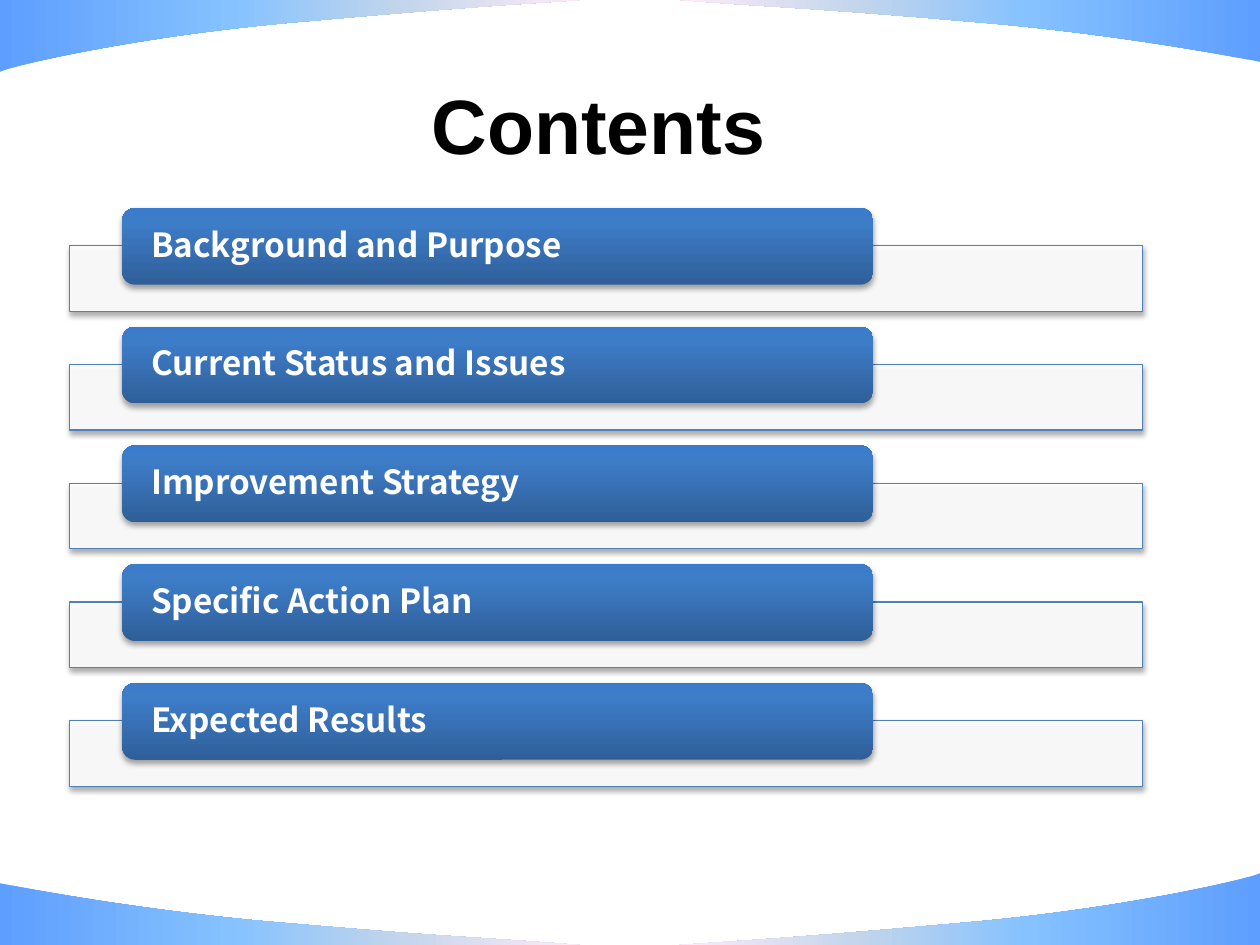
from dataclasses import dataclass

import pptx
import pptx.dml.color
import pptx.enum.shapes
import pptx.enum.text
import pptx.oxml
import pptx.oxml.ns
import pptx.util

Inches = pptx.util.Inches
qn = pptx.oxml.ns.qn
SHAPES = pptx.enum.shapes.MSO_SHAPE
ALIGN = pptx.enum.text.PP_ALIGN
WIDTH, HEIGHT = 10, 7.5


@dataclass(frozen=True)
class Theme:
    white: str = "FFFFFF"
    black: str = "000000"
    outline: str = "4F81BD"
    sky: tuple = ((0, "5E9EFF"), (40, "85C2FF"), (70, "C4D6EB"), (100, "FFEBFA"))
    banner: tuple = ((0, "2F5F99"), (80, "3D7CC7"), (100, "3A7CCB"))
    title_font: str = "Arial"
    item_font: str = "Noto Sans CJK KR"
    title_size: int = 44
    item_size: int = 19


@dataclass(frozen=True)
class Corner:
    """A curved corner; curve points are distances from the slide corner."""
    right: bool
    bottom: bool
    curve: tuple


THEME = Theme()
SHALLOW = ((4.6, 0), (3.84, 0.06), (3.58, 0.06), (2.32, 0.17),
           (1.06, 0.27), (0.01, 0.49), (0, 0.49))
DEEP = ((4.61, 0), (3.86, 0.05), (3.54, 0.07), (2.31, 0.18),
        (1.08, 0.29), (0.1, 0.52), (0, 0.57))
CORNERS = (
    Corner(True, False, SHALLOW),
    Corner(False, True, SHALLOW),
    Corner(True, True, DEEP),
    Corner(False, False, DEEP),
)
ITEMS = ("Background and Purpose", "Current Status and Issues",
         "Improvement Strategy", "Specific Action Plan", "Expected Results")
FIRST_TOP, LAST_TOP = 1.65, 5.42
BAR_DROP = 0.3


def color(value: str) -> pptx.dml.color.RGBColor:
    return pptx.dml.color.RGBColor.from_string(value)


def drawing_xml(body: str):
    namespace = pptx.oxml.ns.nsdecls("a")
    return pptx.oxml.parse_xml(body.replace(">", f" {namespace}>", 1))


def set_gradient(shape, stops: tuple, angle: int) -> None:
    marks = "".join(f'<a:gs pos="{place * 1000}"><a:srgbClr val="{value}"/></a:gs>'
                    for place, value in stops)
    gradient = drawing_xml(f'<a:gradFill rotWithShape="1"><a:gsLst>{marks}</a:gsLst>'
                           f'<a:lin ang="{angle * 60000}" scaled="0"/></a:gradFill>')
    shape.fill.background()
    properties = shape._element.spPr
    properties.replace(properties.find(qn("a:noFill")), gradient)


def add_shadow(shape) -> None:
    shape.shadow.inherit = False
    effects = shape._element.spPr.find(qn("a:effectLst"))
    effects.append(drawing_xml(
        f'<a:outerShdw blurRad="{pptx.util.Pt(3.1)}" dist="{pptx.util.Pt(1.8)}" '
        f'dir="{90 * 60000}" rotWithShape="0"><a:srgbClr val="{THEME.black}">'
        '<a:alpha val="35000"/></a:srgbClr></a:outerShdw>'))


def write_text(shape, text: str, *, font: str, size: int, fill: str,
               align, inset: tuple, line_spacing: float = 1.0) -> None:
    frame = shape.text_frame
    frame.word_wrap = True
    frame.auto_size = pptx.enum.text.MSO_AUTO_SIZE.NONE
    frame.vertical_anchor = pptx.enum.text.MSO_ANCHOR.MIDDLE
    frame.margin_left = frame.margin_right = Inches(inset[0])
    frame.margin_top = frame.margin_bottom = Inches(inset[1])
    para = frame.paragraphs[0]
    para.alignment = align
    para.line_spacing = line_spacing
    span = para.add_run()
    span.text = text
    span.font.name = font
    span.font.size = pptx.util.Pt(size)
    span.font.bold = True
    span.font.color.rgb = color(fill)


def bend_lines(shape, curves: int) -> None:
    """Turn each leading group of three straight segments into one cubic curve."""
    lines = list(shape._element.spPr.iter(qn("a:lnTo")))
    for start in range(0, curves * 3, 3):
        group = lines[start:start + 3]
        curve = drawing_xml("<a:cubicBezTo></a:cubicBezTo>")
        group[0].addprevious(curve)
        for line in group:
            curve.append(line[0])
            line.getparent().remove(line)


def add_corner(page, corner: Corner) -> None:
    placed = [(Inches(WIDTH - x if corner.right else x),
               Inches(HEIGHT - y if corner.bottom else y))
              for x, y in (*corner.curve, (0, 0))]
    builder = page.shapes.build_freeform(*placed[0], scale=1.0)
    builder.add_line_segments(placed[1:], close=True)
    shape = builder.convert_to_shape()
    bend_lines(shape, curves=2)
    shape.shadow.inherit = False
    shape.line.fill.background()
    set_gradient(shape, THEME.sky, 180 if corner.right else 0)


def add_item(page, text: str, top: float) -> None:
    # Pale bar behind
    bar = page.shapes.add_shape(SHAPES.RECTANGLE, Inches(0.55), Inches(top + BAR_DROP),
                                Inches(8.52), Inches(0.52))
    bar.fill.solid()
    bar.fill.fore_color.rgb = color(THEME.white)
    bar._element.spPr.find(".//" + qn("a:srgbClr")).append(
        drawing_xml('<a:alpha val="90000"></a:alpha>'))
    bar.line.color.rgb = color(THEME.outline)
    bar.line.width = pptx.util.Pt(0.75)
    add_shadow(bar)

    # Blue banner with the wording; its rounded corners add to the inset
    banner = page.shapes.add_shape(SHAPES.ROUNDED_RECTANGLE, Inches(0.97), Inches(top),
                                   Inches(5.96), Inches(0.61))
    set_gradient(banner, THEME.banner, 270)
    banner.line.fill.background()
    add_shadow(banner)
    write_text(banner, text, font=THEME.item_font, size=THEME.item_size, fill=THEME.white,
               align=ALIGN.LEFT, inset=(0.2, 0), line_spacing=0.9)


def main() -> None:
    deck = pptx.Presentation()
    deck.slide_width, deck.slide_height = Inches(WIDTH), Inches(HEIGHT)
    page = deck.slides.add_slide(deck.slide_layouts.get_by_name("Title Only"))

    # Curved corners
    for corner in CORNERS:
        add_corner(page, corner)

    # Contents list
    pitch = (LAST_TOP - FIRST_TOP) / (len(ITEMS) - 1)
    for index, text in enumerate(ITEMS):
        add_item(page, text, FIRST_TOP + index * pitch)

    # Title
    title = page.shapes.title
    title.left, title.top = Inches(2.5), Inches(0.55)
    title.width, title.height = Inches(4.5), Inches(0.87)
    write_text(title, "Contents", font=THEME.title_font, size=THEME.title_size,
               fill=THEME.black, align=ALIGN.CENTER, inset=(0.1, 0.05))

    deck.save("out.pptx")


main()
